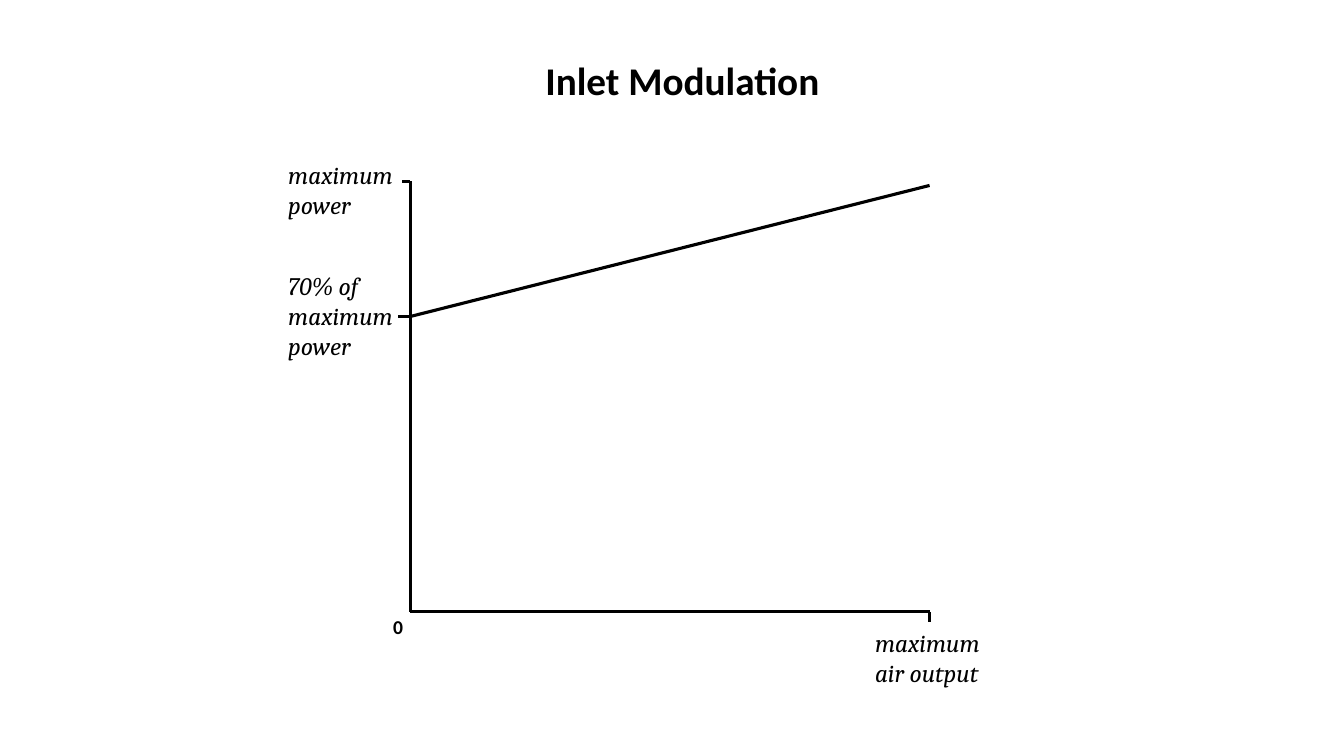
from typing import NamedTuple

import pptx
import pptx.dml.color
import pptx.enum.shapes
import pptx.enum.text
import pptx.oxml.ns
import pptx.util
from lxml import etree
from pptx.util import Inches

BLACK = pptx.dml.color.RGBColor(0, 0, 0)
WHITE = pptx.dml.color.RGBColor(255, 255, 255)

ORIGIN_X, ORIGIN_Y = 4.07, 6.07
MAX_OUTPUT_X = 9.22
MAX_POWER_Y = 1.8
IDLE_POWER_Y = 3.14


class Stroke(NamedTuple):
    """A straight line, in inches."""
    x1: float
    y1: float
    x2: float
    y2: float


class Label(NamedTuple):
    """A text and its box, in inches, with its type style."""
    text: str
    left: float
    top: float
    width: float
    height: float
    size: int = 18
    font: str = "Cambria"
    bold: bool = False
    italic: bool = True
    wrap: bool = True


STROKES = [
    Stroke(ORIGIN_X, MAX_POWER_Y, ORIGIN_X, ORIGIN_Y),  # power axis
    Stroke(ORIGIN_X, ORIGIN_Y, MAX_OUTPUT_X, ORIGIN_Y),  # air output axis
    Stroke(ORIGIN_X, MAX_POWER_Y, ORIGIN_X - 0.08, MAX_POWER_Y),
    Stroke(MAX_OUTPUT_X, ORIGIN_Y, MAX_OUTPUT_X, ORIGIN_Y + 0.1),
    Stroke(ORIGIN_X - 0.12, IDLE_POWER_Y, ORIGIN_X, IDLE_POWER_Y),
    Stroke(ORIGIN_X, IDLE_POWER_Y, MAX_OUTPUT_X, 1.84),  # modulation curve
]

TITLE = Label("Inlet Modulation", 5.31, 0.51, 2.95, 0.57, 28, "Calibri", True, False, False)
LABELS = [
    Label("maximum power", 2.76, 1.53, 1.3, 0.71),
    Label("70% of maximum power", 2.76, 2.63, 1.3, 1.01),
    Label("maximum air output", 8.58, 6.17, 1.41, 0.71),
    Label("0", 3.8, 6.05, 0.3, 0.34, 14, "Calibri", True, False, False),
]


def draw_stroke(slide: pptx.slide.Slide, stroke: Stroke) -> None:
    """Draw a black line without a shadow."""
    segment = slide.shapes.add_connector(
        pptx.enum.shapes.MSO_CONNECTOR.STRAIGHT, *map(Inches, stroke))
    segment.line.color.rgb = BLACK
    segment.line.width = pptx.util.Pt(2.25)
    etree.SubElement(segment._element.spPr, pptx.oxml.ns.qn("a:effectLst"))


def fill_label(holder: pptx.shapes.autoshape.Shape, label: Label) -> None:
    """Place a text holder and give it the label's text and style."""
    holder.left, holder.top = Inches(label.left), Inches(label.top)
    holder.width, holder.height = Inches(label.width), Inches(label.height)
    frame = holder.text_frame
    frame.text = label.text
    frame.word_wrap = label.wrap
    frame.auto_size = pptx.enum.text.MSO_AUTO_SIZE.SHAPE_TO_FIT_TEXT
    frame.vertical_anchor = pptx.enum.text.MSO_ANCHOR.TOP
    paragraph = frame.paragraphs[0]
    paragraph.alignment = pptx.enum.text.PP_ALIGN.LEFT
    font = paragraph.runs[0].font
    font.name, font.size = label.font, pptx.util.Pt(label.size)
    font.bold, font.italic = label.bold, label.italic
    font.color.rgb = BLACK


def build() -> None:
    """Build the power against air output diagram and save it."""
    deck = pptx.Presentation()
    deck.slide_width, deck.slide_height = Inches(13.33), Inches(7.5)
    slide = deck.slides.add_slide(deck.slide_layouts.get_by_name("Title Only"))
    slide.background.fill.solid()
    slide.background.fill.fore_color.rgb = WHITE
    fill_label(slide.shapes.title, TITLE)
    for stroke in STROKES:
        draw_stroke(slide, stroke)
    for label in LABELS:
        fill_label(slide.shapes.add_textbox(0, 0, 0, 0), label)
    deck.save("out.pptx")


build()
